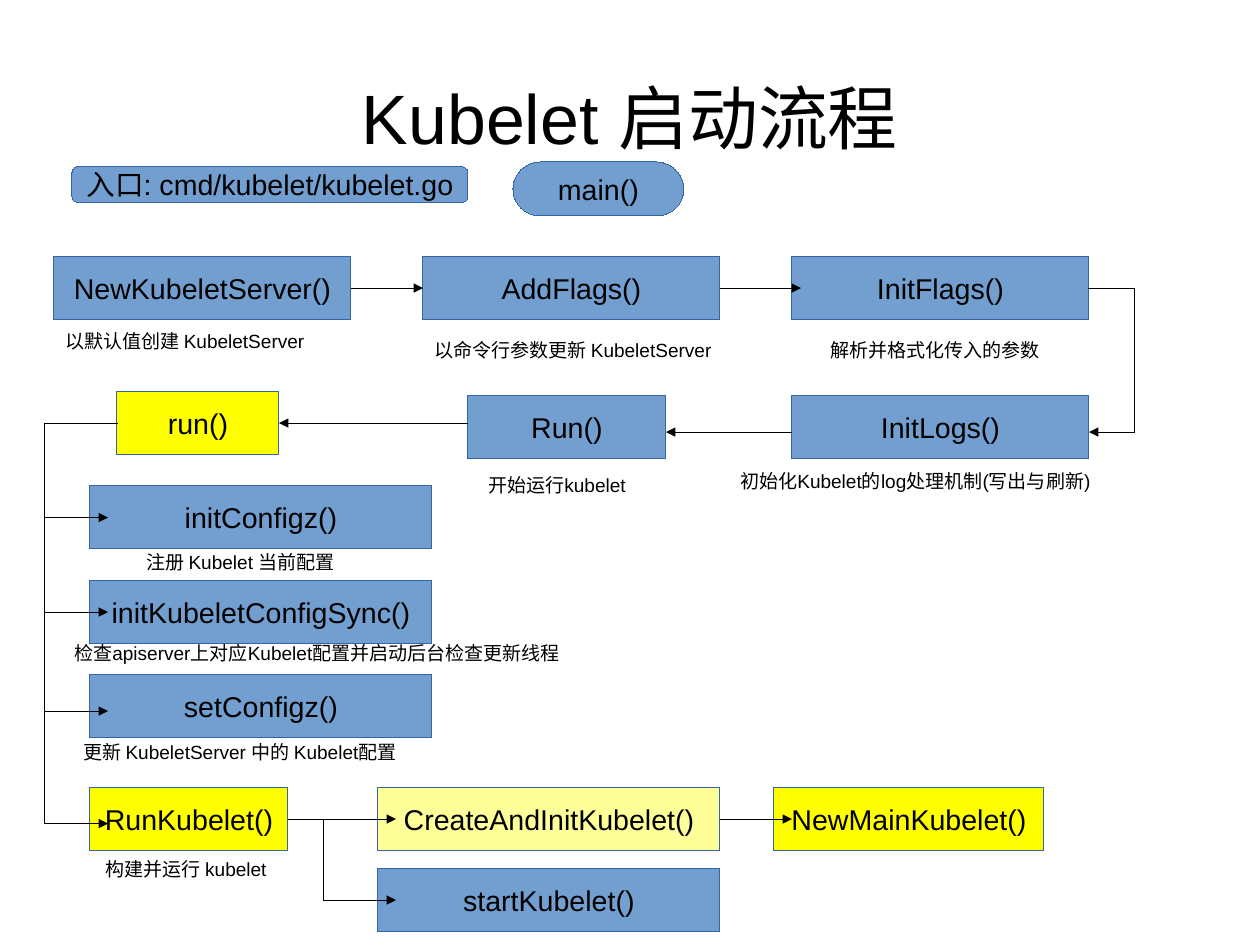
from lxml import etree
from pptx import Presentation
from pptx.dml.color import RGBColor
from pptx.enum.shapes import MSO_CONNECTOR, MSO_SHAPE
from pptx.enum.text import MSO_ANCHOR, PP_ALIGN
from pptx.oxml.ns import qn
from pptx.util import Pt

PX = 9000
PAGE_SIZE = (1120, 840)
FONT = "Arial"
COLORS = {"blue": "729FCF", "yellow": "FFFF00", "cream": "FFFF99",
          "edge": "3465A4", "black": "000000"}
PROCESS = MSO_SHAPE.FLOWCHART_PROCESS
TERMINATOR = MSO_SHAPE.FLOWCHART_TERMINATOR
ROUNDED = MSO_SHAPE.ROUNDED_RECTANGLE
STRAIGHT = MSO_CONNECTOR.STRAIGHT
TOP, MIDDLE = MSO_ANCHOR.TOP, MSO_ANCHOR.MIDDLE
LEFT, CENTER = PP_ALIGN.LEFT, PP_ALIGN.CENTER
LEFT_SIDE, RIGHT_SIDE = 1, 3
STEP_HEIGHT = 56
CAPTION_HEIGHT = 35

TITLE = ("Kubelet 启动流程", (56, 34, 1008, 140))
ENTRY = [
    ("入口: cmd/kubelet/kubelet.go", ROUNDED, (64, 148, 352, 32)),
    ("main()", TERMINATOR, (456, 144, 152, 48)),
]
STEPS = [
    ("NewKubeletServer()", 48, 228, 264, "blue"),
    ("AddFlags()", 376, 228, 264, "blue"),
    ("InitFlags()", 704, 228, 264, "blue"),
    ("InitLogs()", 704, 352, 264, "blue"),
    ("Run()", 416, 352, 176, "blue"),
    ("run()", 104, 348, 144, "yellow"),
    ("initConfigz()", 80, 432, 304, "blue"),
    ("initKubeletConfigSync()", 80, 516, 304, "blue"),
    ("setConfigz()", 80, 600, 304, "blue"),
    ("RunKubelet()", 80, 700, 176, "yellow"),
    ("CreateAndInitKubelet()", 336, 700, 304, "cream"),
    ("startKubelet()", 336, 772, 304, "blue"),
    ("NewMainKubelet()", 688, 700, 240, "yellow"),
]
CAPTIONS = [
    ("以默认值创建 KubeletServer", 48, 288, 272),
    ("以命令行参数更新 KubeletServer", 376, 296, 272),
    ("解析并格式化传入的参数", 728, 296, 208),
    ("初始化Kubelet的log处理机制(写出与刷新)", 648, 412, 384),
    ("开始运行kubelet", 424, 416, 160),
    ("注册 Kubelet 当前配置", 120, 484, 208),
    ("检查apiserver上对应Kubelet配置并启动后台检查更新线程", 56, 565, 472),
    ("更新 KubeletServer 中的 Kubelet配置", 64, 653, 320),
    ("构建并运行 kubelet", 84, 757, 172),
]
RAIL_X, RAIL_TOP, RAIL_TIP = 40, 376, 96
RAIL_BRANCHES = [460, 544, 632, 732]
LOOP_X, LOOP_TOP, LOOP_BOTTOM = 1008, 256, 384
FORK_X, FORK_TOP, FORK_BOTTOM, FORK_TIP = 288, 728, 800, 352
ARROWS = [
    (("NewKubeletServer()", RIGHT_SIDE), ("AddFlags()", LEFT_SIDE)),
    (("AddFlags()", RIGHT_SIDE), (712, LOOP_TOP)),
    ((LOOP_X, LOOP_BOTTOM), (968, LOOP_BOTTOM)),
    ((704, LOOP_BOTTOM), (592, LOOP_BOTTOM)),
    ((416, RAIL_TOP), ("run()", RIGHT_SIDE)),
    (("RunKubelet()", RIGHT_SIDE), (FORK_TIP, FORK_TOP)),
    ((FORK_X, FORK_BOTTOM), (FORK_TIP, FORK_BOTTOM)),
    (("CreateAndInitKubelet()", RIGHT_SIDE), (704, FORK_TOP)),
] + [((RAIL_X, y), (RAIL_TIP, y)) for y in RAIL_BRANCHES]
LINES = [
    (("InitFlags()", RIGHT_SIDE), (LOOP_X, LOOP_TOP)),
    ((LOOP_X, LOOP_TOP), (LOOP_X, LOOP_BOTTOM)),
    (("run()", LEFT_SIDE), (RAIL_X, RAIL_TOP)),
    ((RAIL_X, RAIL_TOP), (RAIL_X, RAIL_BRANCHES[-1])),
    ((FORK_X, FORK_TOP), (FORK_X, FORK_BOTTOM)),
]


def emu(lengths):
    return [length * PX for length in lengths]


def rgb(name):
    return RGBColor.from_string(COLORS[name])


def hairline(shape, color):
    shape.line.color.rgb = rgb(color)
    outline = shape._element.spPr.find(qn("a:ln"))
    outline.set("w", "0")
    return outline


def write(box, text, size, anchor, align, wrap, insets=(10, 5)):
    frame = box.text_frame
    frame.word_wrap = wrap
    frame.vertical_anchor = anchor
    frame.margin_left = frame.margin_right = insets[0] * PX
    frame.margin_top = frame.margin_bottom = insets[1] * PX
    para = frame.paragraphs[0]
    para.text = text
    para.alignment = align
    para.font.size = Pt(size)
    para.font.name = FONT
    para.font.color.rgb = rgb("black")


def add_box(page, text, kind, place, fill):
    box = page.shapes.add_shape(kind, *emu(place))
    box.shadow.inherit = False
    box.fill.solid()
    box.fill.fore_color.rgb = rgb(fill)
    hairline(box, "edge")
    write(box, text, 18, MIDDLE, CENTER, False)
    return box


def add_line(page, boxes, start, end, arrow):
    ends = [(0, 0) if spot[0] in boxes else spot for spot in (start, end)]
    line = page.shapes.add_connector(STRAIGHT, *emu(ends[0] + ends[1]))
    for spot, connect in ((start, line.begin_connect), (end, line.end_connect)):
        if spot[0] in boxes:
            connect(boxes[spot[0]], spot[1])
    outline = hairline(line, "black")
    if arrow:
        etree.SubElement(outline, qn("a:tailEnd"), type="triangle")
    etree.SubElement(line._element.spPr, qn("a:effectLst"))


def main():
    deck = Presentation()
    deck.slide_width, deck.slide_height = emu(PAGE_SIZE)
    page = deck.slides.add_slide(deck.slide_layouts[6])

    text, place = TITLE
    write(page.shapes.add_textbox(*emu(place)), text, 44, MIDDLE, CENTER, True, (0, 0))
    for text, kind, place in ENTRY:
        add_box(page, text, kind, place, "blue")
    boxes = {
        text: add_box(page, text, PROCESS, (x, y, width, STEP_HEIGHT), fill)
        for text, x, y, width, fill in STEPS
    }
    for text, x, y, width in CAPTIONS:
        caption = page.shapes.add_textbox(*emu((x, y, width, CAPTION_HEIGHT)))
        write(caption, text, 12, TOP, LEFT, True)
    for links, arrow in ((ARROWS, True), (LINES, False)):
        for start, end in links:
            add_line(page, boxes, start, end, arrow)

    deck.save("out.pptx")


if __name__ == "__main__":
    main()
